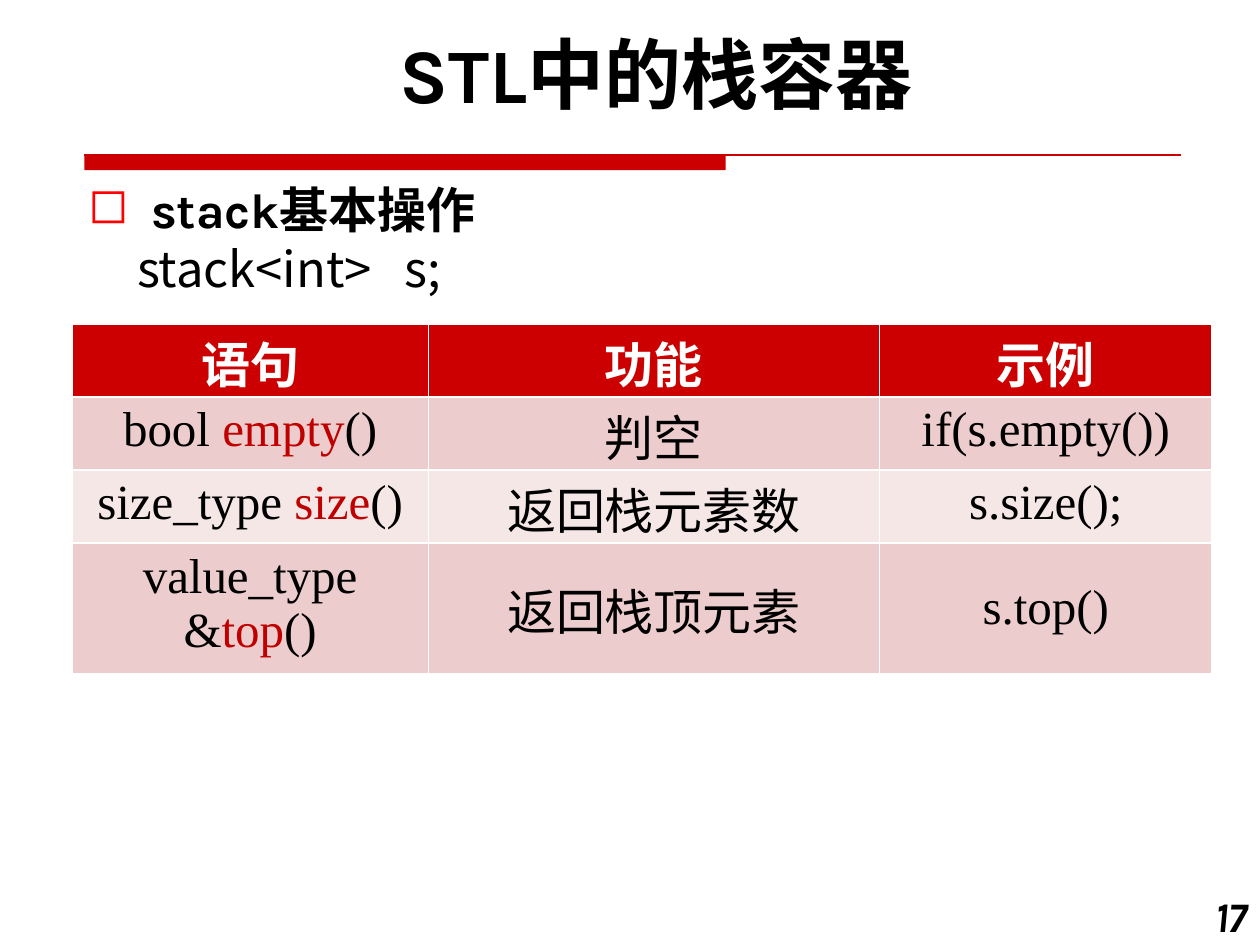
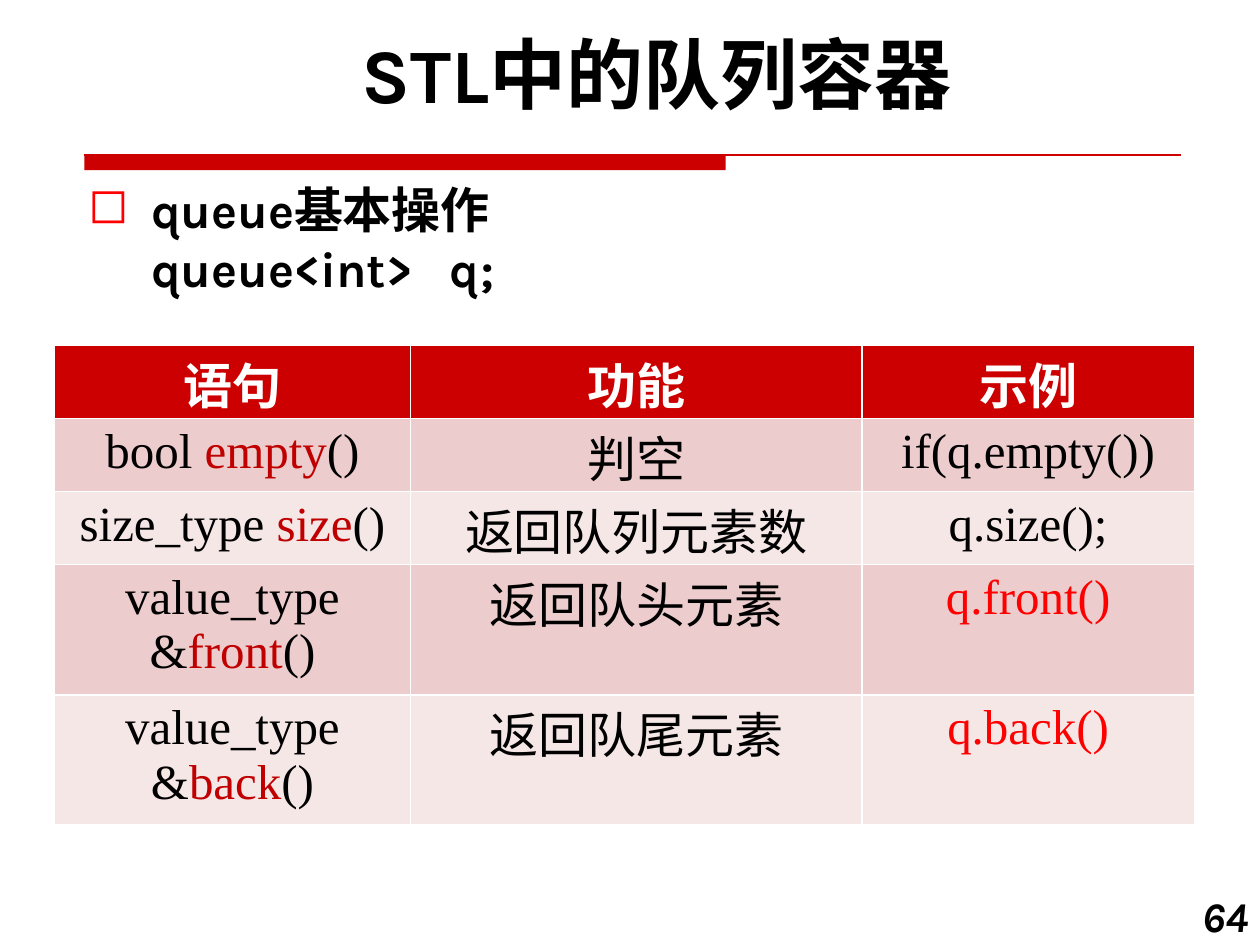
"""Build two slides on the STL stack and queue containers."""
from dataclasses import dataclass

from lxml.etree import SubElement
from pptx import Presentation
from pptx.dml.color import RGBColor as RGB
from pptx.enum.shapes import MSO_CONNECTOR as CONNECTOR, MSO_SHAPE as SHAPE
from pptx.enum.text import MSO_ANCHOR as ANCHOR, PP_ALIGN as ALIGN
from pptx.oxml.ns import qn
from pptx.util import Inches, Pt


@dataclass(frozen=True)
class Theme:
    red: RGB = RGB.from_string("CC0000")
    keyword: RGB = RGB.from_string("C00000")
    bright: RGB = RGB.from_string("FF0000")
    black: RGB = RGB.from_string("000000")
    white: RGB = RGB.from_string("FFFFFF")
    stripes: tuple = (RGB.from_string("F6E7E7"), RGB.from_string("ECCCCC"))
    heading_font: str = "Karla"
    chinese_font: str = "Noto Sans CJK SC"
    table_font: str = "Times New Roman"
    title_size: Pt = Pt(44)
    body_size: Pt = Pt(28)
    number_size: Pt = Pt(24)


theme = Theme()


def add_text(para, text, size, color, font, bold=False, italic=False):
    span = para.add_run()
    span.text = text
    span.font.size, span.font.name = size, font
    span.font.bold, span.font.italic = bold, italic
    span.font.color.rgb = color
    SubElement(span.font._element, qn("a:ea")).set("typeface", theme.chinese_font)


def indent(para, left, first=0):
    properties = para._p.get_or_add_pPr()
    properties.set("marL", str(Inches(left)))
    properties.set("indent", str(Inches(first)))
    return properties


header = ("语句", "功能", "示例")
column_widths = (2.83, 3.58, 2.64)
row_height, tall_row_height = 0.58, 1.03
containers = [
    {
        "number": "17",
        "title": "STL中的栈容器",
        "topic": "stack基本操作",
        "declaration": "stack<int>   s;",
        "declaration_style": (theme.chinese_font, False, 0.39),
        "table_at": (0.57, 2.57),
        "tall_anchor": ANCHOR.MIDDLE,
        "tall_color": theme.black,
        "rows": [
            ("bool |empty|()", "判空", "if(s.empty())"),
            ("size_type |size|()", "返回栈元素数", "s.size();"),
            ("value_type &|top|()", "返回栈顶元素", "s.top()"),
        ],
    },
    {
        "number": "64",
        "title": "STL中的队列容器",
        "topic": "queue基本操作",
        "declaration": "queue<int>   q;",
        "declaration_style": (theme.heading_font, True, 0.5),
        "table_at": (0.43, 2.74),
        "tall_anchor": ANCHOR.TOP,
        "tall_color": theme.bright,
        "rows": [
            ("bool |empty|()", "判空", "if(q.empty())"),
            ("size_type |size|()", "返回队列元素数", "q.size();"),
            ("value_type &|front|()", "返回队头元素", "q.front()"),
            ("value_type &|back|()", "返回队尾元素", "q.back()"),
        ],
    },
]

deck = Presentation()
deck.slide_width, deck.slide_height = Inches(10), Inches(7.5)

for container in containers:
    page = deck.slides.add_slide(deck.slide_layouts[5])

    rule = page.shapes.add_connector(
        CONNECTOR.STRAIGHT, Inches(0.67), Inches(1.23), Inches(9.37), Inches(1.23))
    rule.line.color.rgb, rule.line.width = theme.red, Pt(0.75)
    SubElement(rule._element.spPr, qn("a:effectLst"))
    band = page.shapes.add_shape(
        SHAPE.RECTANGLE, Inches(0.67), Inches(1.23), Inches(5.09), Inches(0.12))
    band.shadow.inherit = False
    band.fill.solid()
    band.fill.fore_color.rgb = theme.red
    band.line.fill.background()

    title = page.shapes.title
    title.left, title.top = Inches(0.67), Inches(0.17)
    title.width, title.height = Inches(9.08), Inches(0.83)
    title.text_frame.vertical_anchor = ANCHOR.BOTTOM
    para = title.text_frame.paragraphs[0]
    para.alignment, para.line_spacing = ALIGN.CENTER, 0.9
    add_text(para, container["title"], theme.title_size, theme.black,
             theme.heading_font, bold=True)

    number_box = page.shapes.add_textbox(Inches(9.33), Inches(7.02), Inches(0.67), Inches(0.48))
    number_box.text_frame.word_wrap = True
    para = number_box.text_frame.paragraphs[0]
    para.alignment = ALIGN.RIGHT
    add_text(para, container["number"], theme.number_size, theme.black,
             theme.heading_font, bold=True, italic=True)

    body_box = page.shapes.add_textbox(Inches(0.6), Inches(1.37), Inches(9.38), Inches(1.04))
    body_box.text_frame.word_wrap = True
    topic = body_box.text_frame.paragraphs[0]
    topic.line_spacing = Pt(34)
    properties = indent(topic, 0.5, -0.5)
    bullet_color = SubElement(properties, qn("a:buClr"))
    SubElement(bullet_color, qn("a:srgbClr")).set("val", str(theme.bright))
    SubElement(properties, qn("a:buChar")).set("char", "◻")
    add_text(topic, container["topic"], theme.body_size, theme.black,
             theme.heading_font, bold=True)
    declaration = body_box.text_frame.add_paragraph()
    declaration.line_spacing = Pt(34)
    font, bold, left = container["declaration_style"]
    indent(declaration, left)
    add_text(declaration, container["declaration"], theme.body_size, theme.black, font, bold)

    rows = [header, *container["rows"]]
    heights = [tall_row_height if row[0].startswith("value_type") else row_height
               for row in rows]
    table_left, table_top = container["table_at"]
    table = page.shapes.add_table(
        len(rows), len(header), Inches(table_left), Inches(table_top),
        Inches(sum(column_widths)), Inches(sum(heights))).table
    for column, width in zip(table.columns, column_widths):
        column.width = Inches(width)
    for row_index, row in enumerate(rows):
        is_header = row_index == 0
        is_tall = heights[row_index] == tall_row_height
        table.rows[row_index].height = Inches(heights[row_index])
        for column_index, text in enumerate(row):
            cell = table.cell(row_index, column_index)
            cell.fill.solid()
            cell.fill.fore_color.rgb = theme.red if is_header else theme.stripes[row_index % 2]
            if is_header or column_index == 1:
                cell.margin_top, cell.margin_bottom = Inches(0.02), 0
            if is_tall and column_index > 0:
                cell.vertical_anchor = container["tall_anchor"]
            color = theme.white if is_header else theme.black
            if is_tall and column_index == 2:
                color = container["tall_color"]
            para = cell.text_frame.paragraphs[0]
            para.alignment = ALIGN.CENTER
            for piece_index, piece in enumerate(text.split("|")):
                add_text(para, piece, theme.body_size,
                         theme.keyword if piece_index % 2 else color,
                         theme.table_font, bold=is_header)

deck.save("out.pptx")
